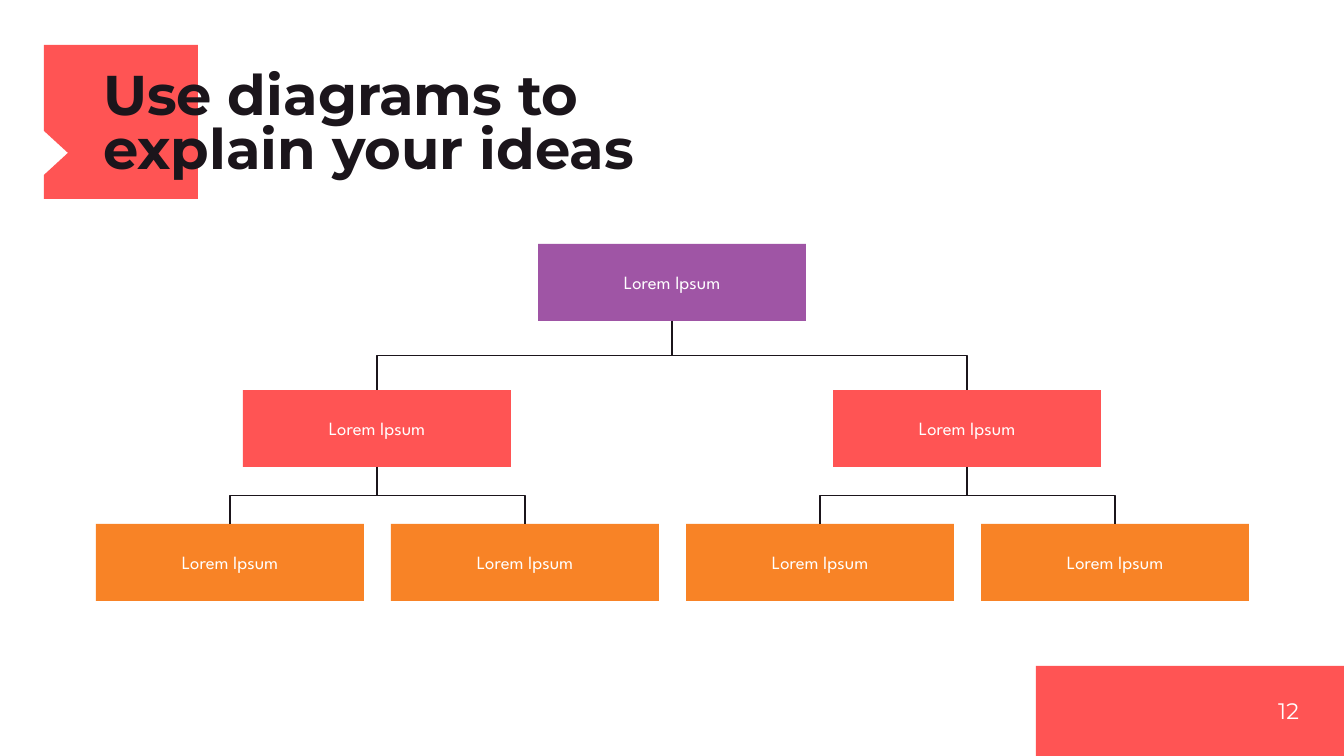
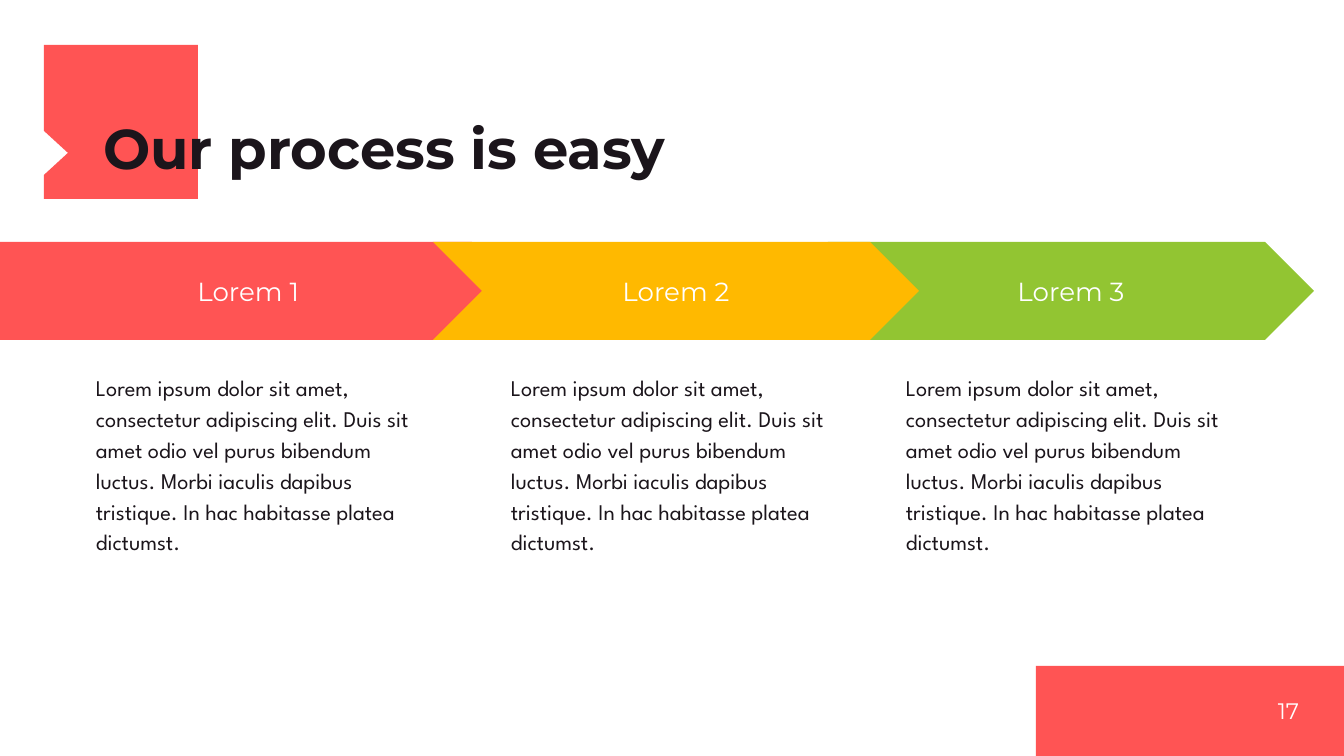
from lxml import etree
from pptx import Presentation
from pptx import util as u
from pptx.dml.color import RGBColor
from pptx.enum import shapes, text
from pptx.oxml.ns import qn

PX = 914400 / 134.4
CORAL, PURPLE, ORANGE = "FF5454", "9F55A5", "F88326"
YELLOW, GREEN = "FFB900", "92C532"
INK, WHITE = "1B151B", "FFFFFF"
HEADING_FONT, BODY_FONT = "Montserrat", "League Spartan"
LEFT, CENTER, RIGHT = text.PP_ALIGN.LEFT, text.PP_ALIGN.CENTER, text.PP_ALIGN.RIGHT
TOP, MIDDLE, BOTTOM = text.MSO_ANCHOR.TOP, text.MSO_ANCHOR.MIDDLE, text.MSO_ANCHOR.BOTTOM
LOREM = ("Lorem ipsum dolor sit amet, consectetur adipiscing elit. Duis sit amet odio "
         "vel purus bibendum luctus. Morbi iaculis dapibus tristique. In hac habitasse "
         "platea dictumst.")


def px(length):
    return u.Emu(round(length * PX))


def color(value):
    return RGBColor.from_string(value)


def paint(shape, fill):
    shape.shadow.inherit = False
    shape.fill.solid()
    shape.fill.fore_color.rgb = color(fill)
    shape.line.fill.background()


def write(shape, words, font, size, ink=WHITE, align=LEFT, anchor=MIDDLE,
          spacing=1.0, bold=False, inset=0):
    frame = shape.text_frame
    frame.text = words
    frame.word_wrap = True
    frame.auto_size = text.MSO_AUTO_SIZE.NONE
    frame.vertical_anchor = anchor
    frame.margin_left = frame.margin_right = px(inset)
    frame.margin_top = frame.margin_bottom = px(inset)
    for para in frame.paragraphs:
        para.alignment = align
        para.line_spacing = spacing
        for span in para.runs:
            span.font.name = font
            span.font.size = u.Pt(size)
            span.font.bold = bold
            span.font.color.rgb = color(ink)


def add_block(parent, kind, box, fill):
    block = parent.shapes.add_shape(kind, *map(px, box))
    paint(block, fill)
    return block


def add_text(parent, box, words, font, size, **style):
    label = parent.shapes.add_textbox(*map(px, box))
    write(label, words, font, size, **style)


def add_badge(page, box):
    """Square with a triangular notch low on its left side."""
    left, top, width, height = box
    corners = [(width, 0), (width, height), (0, height), (0, 130), (24, 108), (0, 86)]
    builder = page.shapes.build_freeform(px(left), px(top))
    builder.add_line_segments([(px(left + x), px(top + y)) for x, y in corners])
    paint(builder.convert_to_shape(), CORAL)


def add_footer(page, box, number):
    left, top, width, height = box
    add_block(page, shapes.MSO_SHAPE.RECTANGLE, box, CORAL)
    add_text(page, (left + width - 135, top, 90, height), str(number),
             HEADING_FONT, 12, align=RIGHT)


def add_page(deck, title, number):
    page = deck.slides.add_slide(deck.slide_layouts[5])
    page.background.fill.solid()
    page.background.fill.fore_color.rgb = color(WHITE)
    add_badge(page, (44, 45, 154, 154))
    add_footer(page, (1036, 666, 308, 90), number)
    heading = page.shapes.title
    heading.left, heading.top, heading.width, heading.height = map(px, (103, 122, 754, 58))
    write(heading, title, HEADING_FONT, 30, ink=INK, anchor=BOTTOM, spacing=0.8, bold=True)
    # The heading lies in front of the badge.
    page.shapes._spTree.append(heading._element)
    return page


def join(page, parent, child):
    """Elbow from the bottom of the parent to the top of the child."""
    start_x, start_y = parent.left + parent.width // 2, parent.top + parent.height
    end_x, end_y = child.left + child.width // 2, child.top
    line = page.shapes.add_connector(shapes.MSO_CONNECTOR.ELBOW,
                                     start_x, start_y, end_x, end_y)
    line.begin_connect(parent, 2)
    line.end_connect(child, 0)
    line.line.color.rgb = color(INK)
    line.line.width = u.Pt(0.75)
    etree.SubElement(line._element.spPr, qn("a:effectLst"))

    # A quarter turn makes the elbow leave and arrive vertically.
    drop, reach = end_y - start_y, abs(end_x - start_x)
    line.left = (start_x + end_x - drop) // 2
    line.top = (start_y + end_y - reach) // 2
    line.width, line.height = drop, reach
    frame = line._element.spPr.find(qn("a:xfrm"))
    to_right = end_x > start_x
    frame.set("rot", "16200000" if to_right else "5400000")
    frame.set("flipH", "1" if to_right else "0")
    frame.set("flipV", "0")


def add_tree(page, box):
    """Binary tree whose slots count leaf columns from the left."""
    left, top, width, _ = box
    node_width, node_height = 268, 77
    pitch = (width - node_width) / 3
    levels = [(0, PURPLE, [1.5]), (146, CORAL, [0.5, 2.5]), (280, ORANGE, range(4))]
    parents = []
    for drop, fill, slots in levels:
        nodes = []
        for index, slot in enumerate(slots):
            place = (left + int(slot * pitch), top + drop, node_width, node_height)
            node = add_block(page, shapes.MSO_SHAPE.RECTANGLE, place, fill)
            write(node, "Lorem Ipsum", BODY_FONT, 10, align=CENTER, inset=13)
            if parents:
                join(page, parents[index // 2], node)
            nodes.append(node)
        parents = nodes


def add_step(page, box, kind, fill, label, indent):
    left, top, width, height = box
    step = page.shapes.add_group_shape()
    arrow = add_block(step, kind, box, fill)
    arrow.adjustments[0] = 0.5
    write(arrow, label, HEADING_FONT, 14, align=CENTER)
    add_text(step, (left + indent, top + height + 30, 329, 195), LOREM, BODY_FONT, 12,
             ink=INK, anchor=TOP, spacing=1.15)


def add_process(page, box):
    left, top, _, height = box
    chevron, pentagon = shapes.MSO_SHAPE.CHEVRON, shapes.MSO_SHAPE.PENTAGON
    # Back to front: each arrow covers the tail of the one behind it.
    steps = [(828, 486, chevron, GREEN, "Lorem 3", 78),
             (0, 521, pentagon, CORAL, "Lorem 1", 96),
             (433, 486, chevron, YELLOW, "Lorem 2", 78)]
    for offset, width, *look in steps:
        add_step(page, (left + offset, top, width, height), *look)


def main():
    deck = Presentation()
    deck.slide_width, deck.slide_height = px(1344), px(756)
    add_tree(add_page(deck, "Use diagrams to\vexplain your ideas", 12), (96, 244, 1153, 357))
    add_process(add_page(deck, "Our process is easy", 17), (0, 242, 1314, 98))
    deck.save("out.pptx")


if __name__ == "__main__":
    main()
